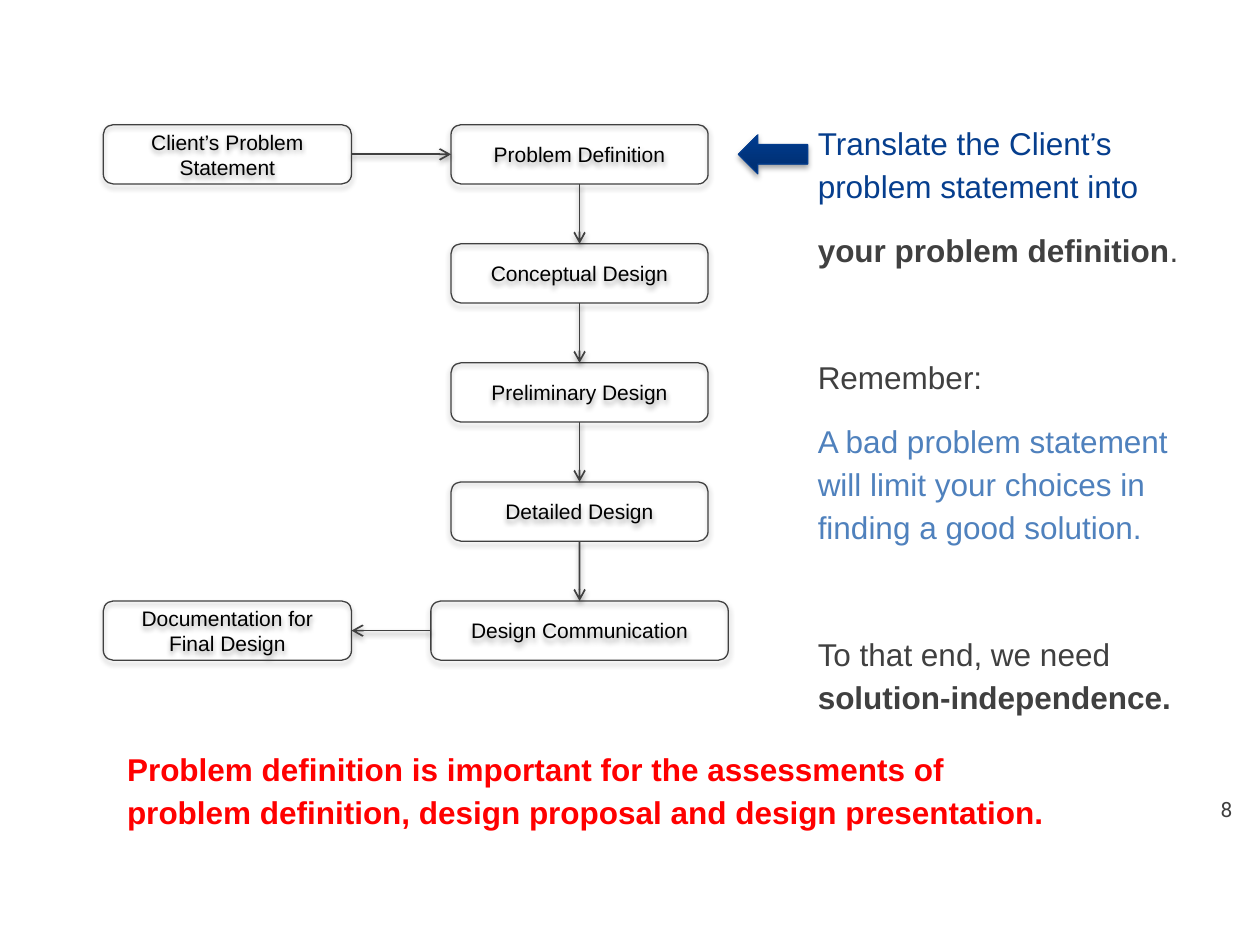
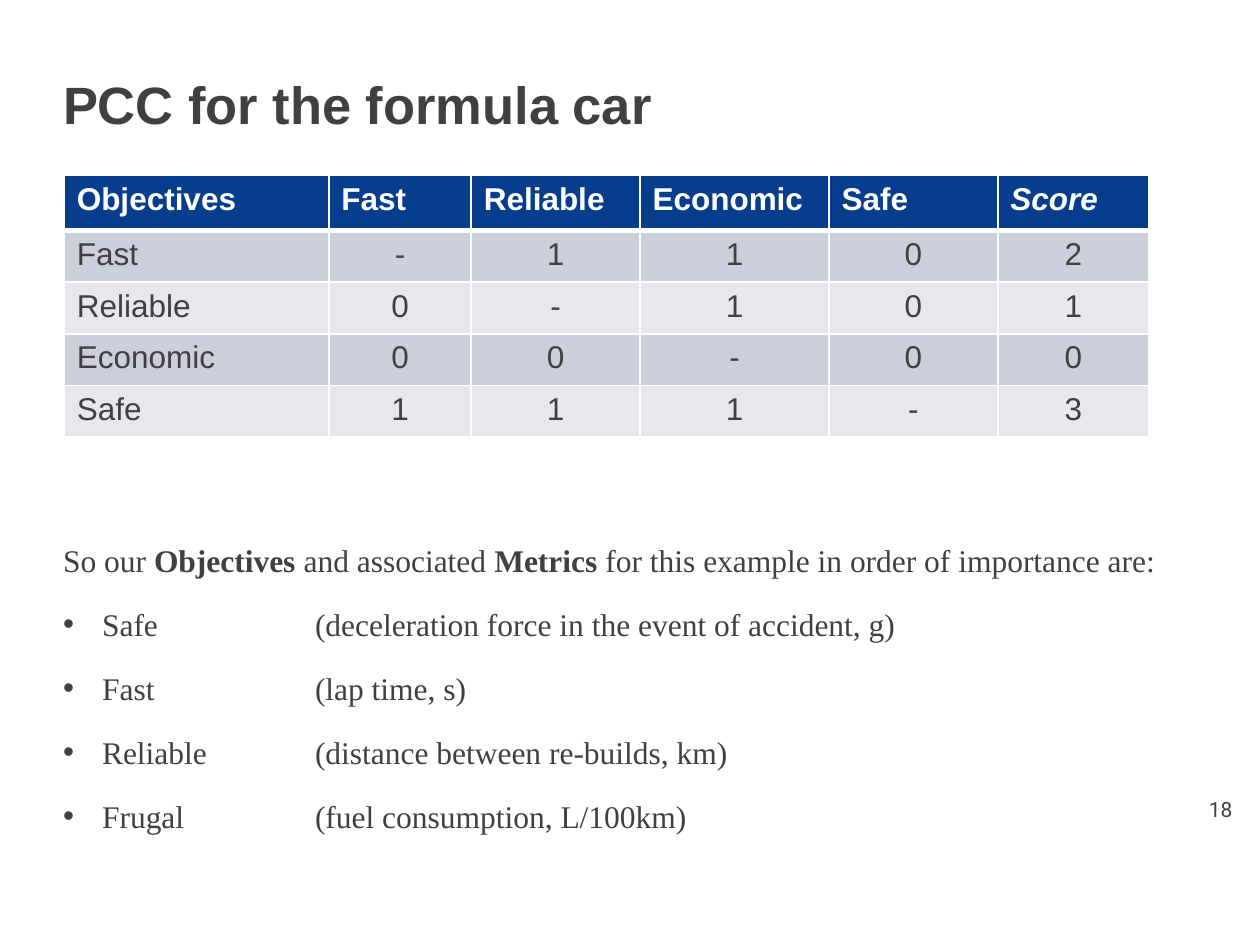
from dataclasses import dataclass
from itertools import pairwise

from lxml import etree
from pptx import Presentation
from pptx.dml.color import RGBColor
from pptx.enum.shapes import MSO_CONNECTOR, MSO_SHAPE
from pptx.enum.text import MSO_ANCHOR, MSO_AUTO_SIZE, PP_ALIGN
from pptx.oxml.ns import qn
from pptx.util import Inches, Pt

LEFT, CENTER, RIGHT = PP_ALIGN.LEFT, PP_ALIGN.CENTER, PP_ALIGN.RIGHT
TOP, MIDDLE = MSO_ANCHOR.TOP, MSO_ANCHOR.MIDDLE
NO_FIT = MSO_AUTO_SIZE.NONE
STEP, ARROW = MSO_SHAPE.FLOWCHART_ALTERNATE_PROCESS, MSO_SHAPE.LEFT_ARROW
STRAIGHT = MSO_CONNECTOR.STRAIGHT
NORTH, WEST, SOUTH, EAST = range(4)


@dataclass(frozen=True)
class Theme:
    ink: str = "404040"
    black: str = "000000"
    white: str = "FFFFFF"
    navy: str = "063E8D"
    blue: str = "4F81BD"
    red: str = "FF0000"
    edge: str = "033C8D"
    deep: str = "002E6E"
    bright: str = "003B8F"
    bands: tuple = ("CCCEDB", "E7E8EE")
    sans: str = "Arial"
    serif: str = "Times New Roman"
    digit: str = "Roboto"
    head: int = 30
    body: int = 18
    small: int = 12
    lead: float = 1.14
    gap: int = 12
    wide: int = 48


T = Theme()


def rgb(code):
    return RGBColor.from_string(code)


def node(parent, tag, **attrs):
    """Append a DrawingML element to parent."""
    child = etree.SubElement(parent, qn(tag))
    for name, value in attrs.items():
        child.set(name, str(value))
    return child


def add_run(para, text, color=T.ink, size=T.body, font=T.sans, bold=False, italic=False):
    run = para.add_run()
    run.text = text
    face = run.font
    face.name, face.size, face.bold, face.italic = font, Pt(size), bold, italic
    face.color.rgb = rgb(color)


def set_frame(frame, insets=(0.1, 0.05, 0.1, 0.05), anchor=TOP):
    frame.word_wrap = True
    frame.auto_size = NO_FIT
    frame.vertical_anchor = anchor
    (frame.margin_left, frame.margin_top,
     frame.margin_right, frame.margin_bottom) = map(Inches, insets)


def set_place(shape, left, top, width, height):
    shape.left, shape.top = Inches(left), Inches(top)
    shape.width, shape.height = Inches(width), Inches(height)


def add_para(frame, first, gap=T.gap, bullet=False):
    para = frame.paragraphs[0] if first else frame.add_paragraph()
    para.alignment = LEFT
    para.line_spacing = T.lead
    para.space_before = Pt(0 if first else gap)
    props = para._p.get_or_add_pPr()
    hang = Inches(0.31) if bullet else 0
    props.set("marL", str(hang))
    props.set("indent", str(-hang))
    if bullet:
        node(props, "a:buFont", typeface=T.sans)
        node(props, "a:buChar", char="•")
        tabs = node(props, "a:tabLst")
        node(tabs, "a:tab", pos=Inches(2), algn="l")
    else:
        node(props, "a:buNone")
    return para


def add_shade(shape, alpha):
    props = shape.element.spPr
    effects = props.find(qn("a:effectLst"))
    if effects is None:
        effects = node(props, "a:effectLst")
    cast = node(effects, "a:outerShdw", blurRad=Pt(3.1), dist=Pt(1.8),
                dir=90 * 60000, rotWithShape=0)
    color = node(cast, "a:srgbClr", val=T.black)
    node(color, "a:alpha", val=alpha * 1000)


def add_shape(slide, kind, place, edge):
    shape = slide.shapes.add_shape(kind, *map(Inches, place))
    shape.shadow.inherit = False
    shape.line.color.rgb = rgb(edge)
    shape.line.width = Pt(0.75)
    return shape


def add_step(slide, text, left, top, width):
    step = add_shape(slide, STEP, (left, top, width, 0.47), T.ink)
    step.fill.background()
    add_shade(step, 35)
    set_frame(step.text_frame, anchor=MIDDLE)
    para = step.text_frame.paragraphs[0]
    para.alignment = CENTER
    add_run(para, text, T.black, T.small)
    return step


def add_link(slide, start, out, end, into):
    link = slide.shapes.add_connector(STRAIGHT, 0, 0, 0, 0)
    link.begin_connect(start, out)
    link.end_connect(end, into)
    link.line.color.rgb = rgb(T.ink)
    link.line.width = Pt(1)
    node(link.line._get_or_add_ln(), "a:tailEnd", type="arrow")
    add_shade(link, 38)


def add_pointer(slide):
    arrow = add_shape(slide, ARROW, (5.86, 1.07, 0.55, 0.31), T.edge)
    arrow.fill.gradient()
    arrow.fill.gradient_angle = 90
    for stop, color in zip(arrow.fill.gradient_stops, (T.deep, T.bright)):
        stop.color.rgb = rgb(color)
    add_shade(arrow, 35)


def add_box(slide, place, insets):
    frame = slide.shapes.add_textbox(*map(Inches, place)).text_frame
    set_frame(frame, insets)
    return frame


def add_number(slide, number):
    frame = add_box(slide, (9.41, 6.27, 0.47, 0.3), (0.1, 0.05, 0.1, 0.05))
    para = frame.paragraphs[0]
    para.alignment = RIGHT
    add_run(para, str(number), size=T.small, font=T.digit)


def get_body(slide, *place):
    body = slide.placeholders[1]
    set_place(body, *place)
    set_frame(body.text_frame, (0, 0.1, 0, 0.1))
    return body.text_frame


def set_title(slide, text):
    title = slide.shapes.title
    set_place(title, 0.5, 0.52, 9, 0.63)
    set_frame(title.text_frame, (0, 0.05, 0, 0))
    para = title.text_frame.paragraphs[0]
    para.alignment = LEFT
    add_run(para, text, size=T.head, bold=True)


def set_cell(cell, text, row, col):
    head = row == 0
    props = cell._tc.get_or_add_tcPr()
    widths = {"L": 1, "R": 1, "T": 3 if row == 1 else 1, "B": 3 if head else 1}
    for side, width in widths.items():
        line = node(props, f"a:ln{side}", w=Pt(width))
        node(node(line, "a:solidFill"), "a:srgbClr", val=T.white)
    cell.fill.solid()
    cell.fill.fore_color.rgb = rgb(T.navy if head else T.bands[(row - 1) % 2])
    para = cell.text_frame.paragraphs[0]
    para.alignment = LEFT if head or col == 0 else CENTER
    add_run(para, text, T.white if head else T.ink, bold=head, italic=text == "Score")


def add_grid(slide, rows, widths):
    frame = slide.shapes.add_table(len(rows), len(widths), Inches(0.51), Inches(1.39),
                                   Inches(sum(widths)), Inches(2.08))
    table = frame.table
    for col, width in zip(table.columns, widths):
        col.width = Inches(width)
    for r, texts in enumerate(rows):
        table.rows[r].height = Inches(0.41 if r else 0.44)
        for c, text in enumerate(texts):
            set_cell(table.cell(r, c), text, r, c)


def add_flow(slide):
    top, pitch, mid = 0.99, 0.945, 4.6
    names = ("Problem Definition", "Conceptual Design", "Preliminary Design",
             "Detailed Design", "Design Communication")
    steps = []
    for i, name in enumerate(names):
        width = 2.36 if name == names[-1] else 2.04
        steps.append(add_step(slide, name, mid - width / 2, top + i * pitch, width))
    client = add_step(slide, "Client’s Problem Statement", 0.82, top, 1.97)
    final = add_step(slide, "Documentation for Final Design", 0.82, top + 4 * pitch, 1.97)
    add_link(slide, client, EAST, steps[0], WEST)
    for upper, lower in pairwise(steps):
        add_link(slide, upper, SOUTH, lower, NORTH)
    add_link(slide, steps[-1], WEST, final, EAST)


def make_process(slide):
    title = slide.shapes.title.element
    title.getparent().remove(title)
    add_number(slide, 8)
    frame = get_body(slide, 6.49, 0.84, 3.07, 4.8)
    notes = (
        (T.gap, [("Translate the Client’s problem statement into", T.navy, False)]),
        (T.gap, [("your problem definition", T.ink, True), (".", T.ink, False)]),
        (T.wide, [("Remember:", T.ink, False)]),
        (T.gap, [("A bad problem statement will limit your choices in finding "
                  "a good solution.", T.blue, False)]),
        (T.wide, [("To that end, we need ", T.ink, False),
                  ("solution-independence.", T.ink, True)]),
    )
    for i, (gap, runs) in enumerate(notes):
        para = add_para(frame, i == 0, gap)
        for text, color, bold in runs:
            add_run(para, text, color, bold=bold)
    add_pointer(slide)
    add_flow(slide)
    alert = add_box(slide, (0.91, 5.81, 7.72, 0.94), (0.1, 0.1, 0.1, 0.1))
    add_run(add_para(alert, True), "Problem definition is important for the assessments of "
            "problem definition, design proposal and design presentation.", T.red, bold=True)


def make_ranking(slide):
    add_number(slide, 18)
    set_title(slide, "PCC for the formula car")
    frame = get_body(slide, 0.5, 4.15, 9, 2.19)
    intro = add_para(frame, True)
    for text, bold in (("So our ", False), ("Objectives", True), (" and associated ", False),
                       ("Metrics", True),
                       (" for this example in order of importance are:", False)):
        add_run(intro, text, font=T.serif, bold=bold)
    for goal, metric in (("Safe", "deceleration force in the event of accident, g"),
                         ("Fast", "lap time, s"),
                         ("Reliable", "distance between re-builds, km"),
                         ("Frugal", "fuel consumption, L/100km")):
        add_run(add_para(frame, False, bullet=True), f"{goal}\t({metric})", font=T.serif)
    rows = (("Objectives", "Fast", "Reliable", "Economic", "Safe", "Score"),
            ("Fast", "-", "1", "1", "0", "2"),
            ("Reliable", "0", "-", "1", "0", "1"),
            ("Economic", "0", "0", "-", "0", "0"),
            ("Safe", "1", "1", "1", "-", "3"))
    add_grid(slide, rows, (2.1, 1.13, 1.34, 1.5, 1.34, 1.2))


def main():
    deck = Presentation()
    deck.slide_width, deck.slide_height = Inches(10), Inches(7.5)
    for make in (make_process, make_ranking):
        make(deck.slides.add_slide(deck.slide_layouts[1]))
    deck.save("out.pptx")


if __name__ == "__main__":
    main()
